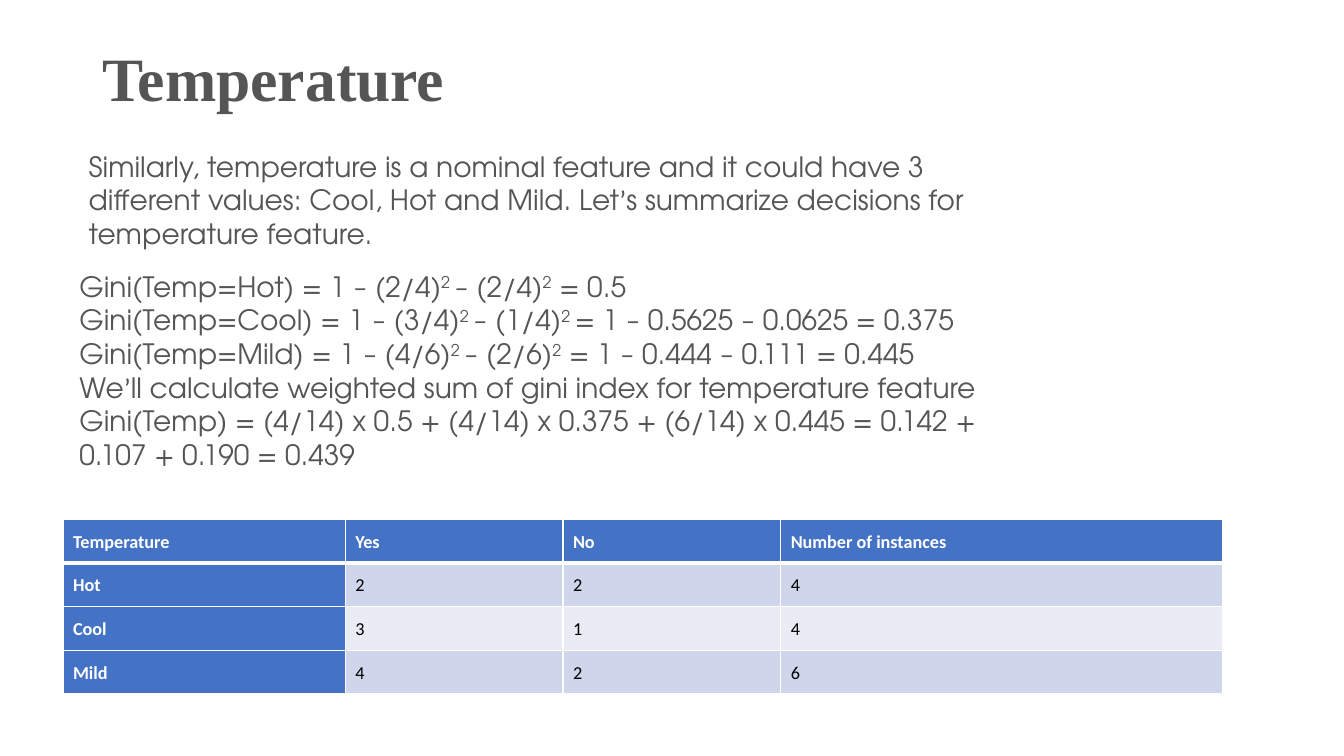
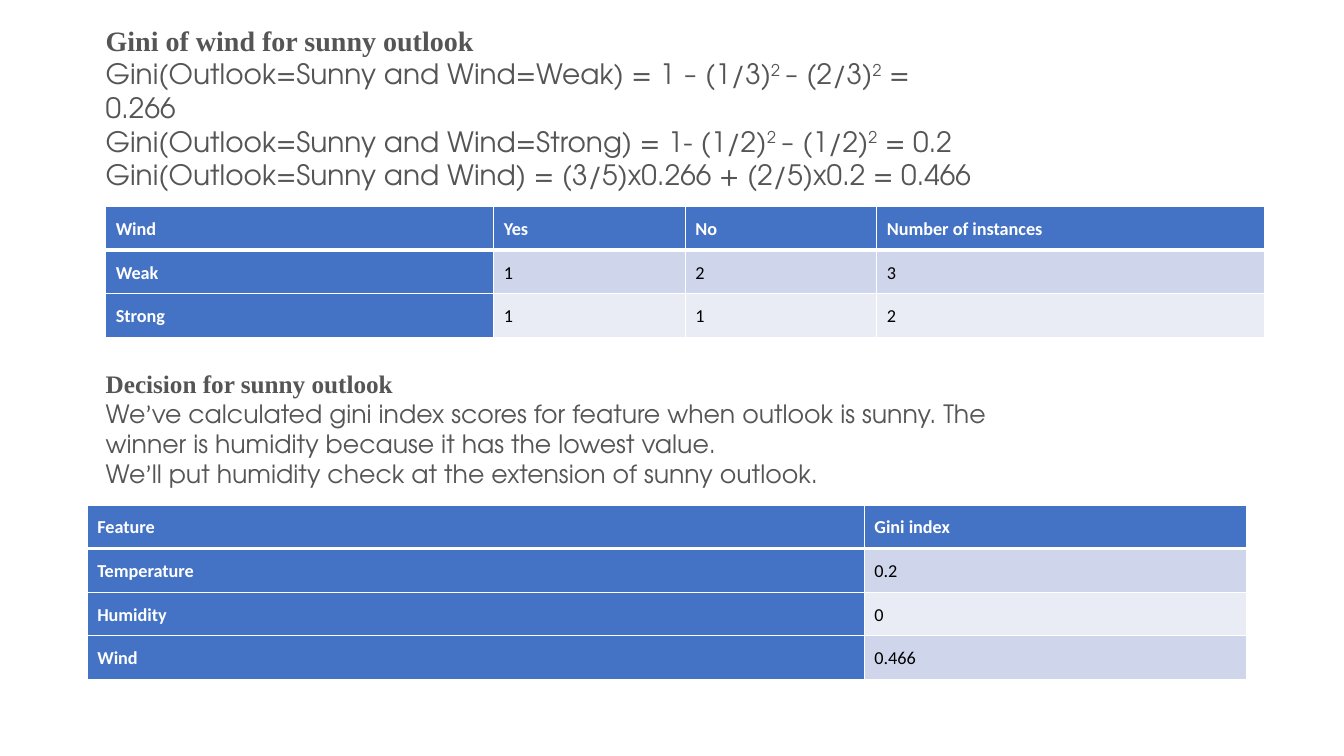
import itertools

import pptx
import pptx.dml.color
import pptx.enum.text
import pptx.oxml
import pptx.oxml.ns
import pptx.util
from pptx.util import Pt

COLORS = {"ink": "555555", "head": "4472C4", "odd": "CFD5EA", "even": "E9EBF5",
          "white": "FFFFFF", "black": "000000"}
SERIF, BODY, PLAIN = "Times New Roman", "TeX Gyre Adventor", "Calibri"
MIDDLE = pptx.enum.text.MSO_ANCHOR.MIDDLE
TOP = pptx.enum.text.MSO_ANCHOR.TOP
ROW_HEIGHT = 31
TABLE_WIDTH = 828


def rgb(name):
    """Return the named colour."""
    return pptx.dml.color.RGBColor.from_string(COLORS[name])


def apply(target, formats):
    """Set attributes of an object from a dict."""
    for key, value in formats.items():
        setattr(target, key, value)


def add_span(para, text, color, **formats):
    """Add one formatted run to a paragraph."""
    span = para.add_run()
    span.text = text
    apply(span.font, formats)
    span.font.color.rgb = rgb(color)
    return span


def add_body(para, text, size):
    """Write body text, raising every second part between bars."""
    for index, part in enumerate(text.split("|")):
        for is_mark, letters in itertools.groupby(part, lambda letter: letter in "–’"):
            span = add_span(para, "".join(letters), "ink", size=Pt(size),
                            name=PLAIN if is_mark else BODY, bold=False)
            if index % 2:
                span.font._element.set("baseline", "30000")


def add_box(page, bounds, anchor=MIDDLE, **margins):
    """Add an empty wrapping text box and return its frame."""
    frame = page.shapes.add_textbox(*map(Pt, bounds)).text_frame
    apply(frame, {"word_wrap": True, "vertical_anchor": anchor, **margins})
    return frame


def add_title(page, bounds, text):
    """Add the large slide title."""
    para = add_box(page, bounds).paragraphs[0]
    para.line_spacing = 0.9
    add_span(para, text, "ink", size=Pt(44), name=SERIF, bold=True)


def add_text(page, bounds, lines, size=20, heading=None, **layout):
    """Add body paragraphs under an optional serif heading."""
    frame = add_box(page, bounds, **layout)
    para = frame.paragraphs[0]
    if heading:
        add_span(para, heading, "ink", size=Pt(size), name=SERIF, bold=True)
        para = frame.add_paragraph()
    for index, line in enumerate(lines):
        if index:
            para = frame.add_paragraph()
        add_body(para, line, size)


def add_border(cell, side, width):
    """Draw one white edge of a cell."""
    cell._tc.get_or_add_tcPr().append(pptx.oxml.parse_xml(
        f'<a:ln{side} {pptx.oxml.ns.nsdecls("a")} w="{Pt(width)}"><a:solidFill>'
        f'<a:srgbClr val="{COLORS["white"]}"/></a:solidFill></a:ln{side}>'))


def add_grid(page, left, top, shares, rows):
    """Add a table with a blue first row and column and banded values."""
    bounds = (left, top, TABLE_WIDTH, ROW_HEIGHT * len(rows))
    table = page.shapes.add_table(len(rows), len(shares), *map(Pt, bounds)).table
    for column, share in zip(table.columns, shares):
        column.width = Pt(round(TABLE_WIDTH * share / sum(shares), 2))
    margins = {f"margin_{side}": Pt(7.2) for side in ("left", "right", "top", "bottom")}
    for row, values in enumerate(rows):
        for column, value in enumerate(values):
            cell = table.cell(row, column)
            is_head = row == 0 or column == 0
            edges = {"L": 1, "R": 1, "T": 3 if row == 1 else 1, "B": 1 if row else 3}
            for side, width in edges.items():
                add_border(cell, side, width)
            cell.fill.solid()
            cell.fill.fore_color.rgb = rgb("head" if is_head else "odd" if row % 2 else "even")
            apply(cell, {"vertical_anchor": MIDDLE, **margins})
            para = cell.text_frame.paragraphs[0]
            para.line_spacing = 1.07
            add_span(para, value, "white" if is_head else "black", size=Pt(13),
                     name=PLAIN, bold=is_head)


def build_temperature(page):
    """Build the slide on the temperature feature."""
    add_title(page, (66, 29, 828, 58), "Temperature")
    add_text(page, (63.4, 106.6, 671.8, 72), [
        "Similarly, temperature is a nominal feature and it could have 3 different values: "
        "Cool, Hot and Mild. Let’s summarize decisions for temperature feature.",
    ], margin_left=0, margin_right=0, margin_top=0, margin_bottom=0)
    add_text(page, (49.7, 188, 656, 152.6), [
        "Gini(Temp=Hot) = 1 – (2/4)|2 |– (2/4)|2| = 0.5",
        "Gini(Temp=Cool) = 1 – (3/4)|2 |– (1/4)|2 |= 1 – 0.5625 – 0.0625 = 0.375",
        "Gini(Temp=Mild) = 1 – (4/6)|2 |– (2/6)|2| = 1 – 0.444 – 0.111 = 0.445",
        "We’ll calculate weighted sum of gini index for temperature feature",
        "Gini(Temp) = (4/14) x 0.5 + (4/14) x 0.375 + (6/14) x 0.445 = "
        "0.142 + 0.107 + 0.190 = 0.439",
    ])
    add_grid(page, 45, 371, (2.8, 2.16, 2.16, 4.38), [
        ("Temperature", "Yes", "No", "Number of instances"),
        ("Hot", "2", "2", "4"),
        ("Cool", "3", "1", "4"),
        ("Mild", "4", "2", "6"),
    ])


def build_sunny_outlook(page):
    """Build the slide on the sunny outlook branch."""
    add_grid(page, 75.5, 147.6, (3.85, 1.9, 1.9, 3.85), [
        ("Wind", "Yes", "No", "Number of instances"),
        ("Weak", "1", "2", "3"),
        ("Strong", "1", "1", "2"),
    ])
    add_grid(page, 62.3, 360.7, (7.71, 3.79), [
        ("Feature", "Gini index"),
        ("Temperature", "0.2"),
        ("Humidity", "0"),
        ("Wind", "0.466"),
    ])
    add_text(page, (68.4, 13.7, 641.5, 126), [
        "Gini(Outlook=Sunny and Wind=Weak) = 1 – (1/3)|2 |– (2/3)|2| = 0.266",
        "Gini(Outlook=Sunny and Wind=Strong) = 1- (1/2)|2 |– (1/2)|2| = 0.2",
        "Gini(Outlook=Sunny and Wind) = (3/5)x0.266 + (2/5)x0.2 = 0.466",
    ], heading="Gini of wind for sunny outlook")
    add_text(page, (68.4, 259.2, 694, 94.3), [
        "We’ve calculated gini index scores for feature when outlook is sunny. "
        "The winner is humidity because it has the lowest value.",
        "We’ll put humidity check at the extension of sunny outlook.",
    ], size=18, heading="Decision for sunny outlook", anchor=TOP)


def main():
    """Build and save the deck."""
    deck = pptx.Presentation()
    apply(deck, {"slide_width": Pt(960), "slide_height": Pt(540)})
    for build in (build_temperature, build_sunny_outlook):
        build(deck.slides.add_slide(deck.slide_layouts[6]))
    deck.save("out.pptx")


if __name__ == "__main__":
    main()
